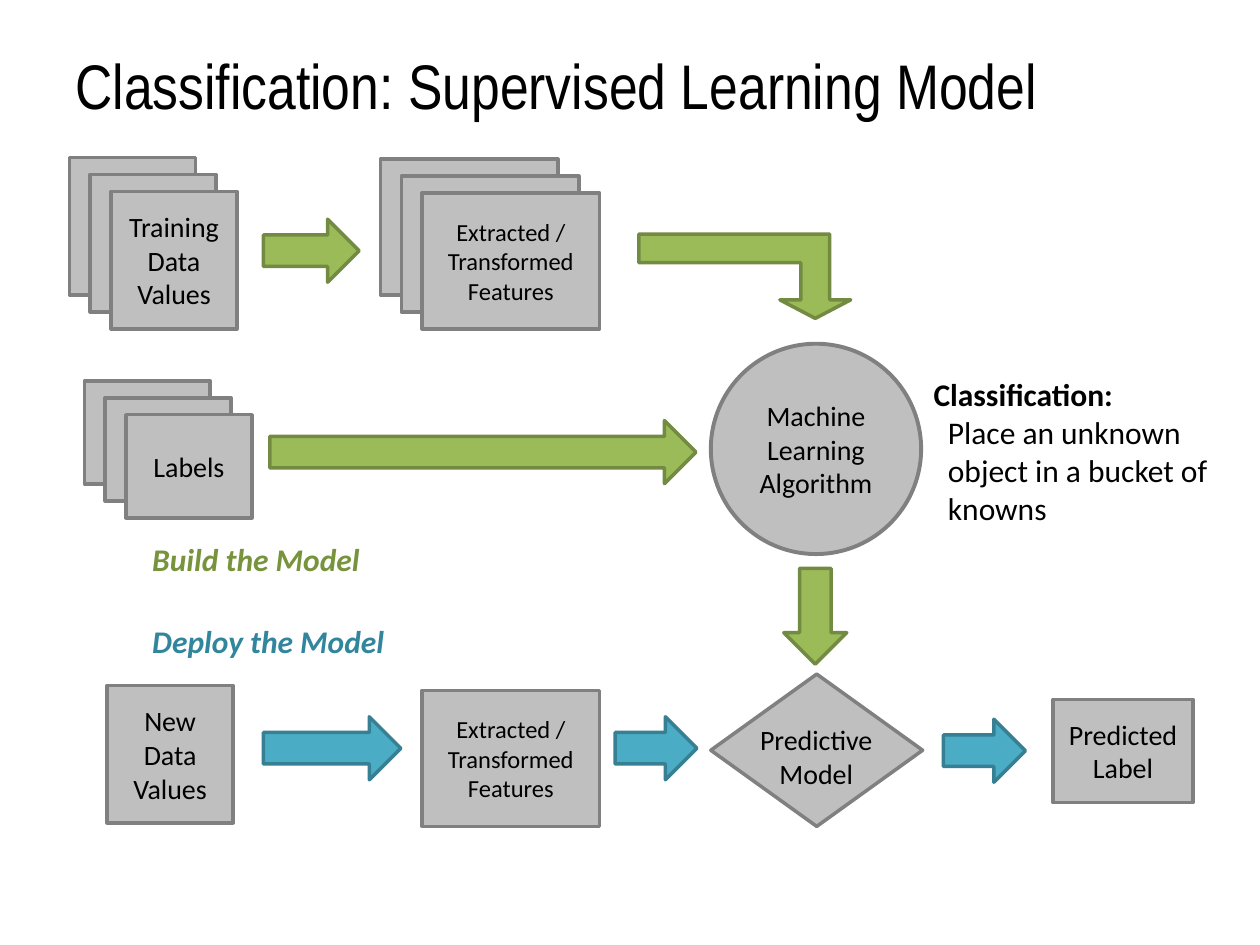
import pptx
import pptx.util
import pptx.dml.color
import pptx.enum.shapes
import pptx.enum.text
from pptx.util import Cm

MSO = pptx.enum.shapes.MSO_SHAPE
ALIGN = pptx.enum.text.PP_ALIGN
ANCHOR = pptx.enum.text.MSO_ANCHOR

THEME = {
    "title_font": "Arial Narrow", "font": "Calibri",
    "title": 36, "note": 18, "body": 16, "small": 14,
    "text": "000000", "build_text": "77933C", "deploy_text": "31859C",
    # fill and line of each kind of shape
    "box": ("BFBFBF", "808080"),
    "build": ("9BBB59", "738A42"),
    "deploy": ("4BACC6", "377F92"),
}

# Content: lengths in cm; \n starts a paragraph, \v breaks a line
TITLE = "Classification: Supervised Learning Model"
FEATURES = "Extracted /\nTransformed\nFeatures"
STEP_X, STEP_Y = 0.42, 0.34  # offset between sheets of a stack
ARROW_H = 1.27

# text, size, sheets in stack, left, top, width, height of the front sheet
BOXES = [
    ("Training\vData\vValues", "body", 3, 2.24, 3.86, 2.54, 2.77),
    (FEATURES, "small", 3, 8.51, 3.89, 3.58, 2.74),
    ("Labels", "body", 3, 2.54, 8.36, 2.54, 2.08),
    ("New\vData\vValues", "body", 1, 2.16, 13.82, 2.54, 2.77),
    (FEATURES, "small", 1, 8.51, 13.92, 3.58, 2.74),
    ("Predicted\vLabel", "body", 1, 21.23, 14.1, 2.82, 2.08),
]
# kind, left, top, length, rotation
ARROWS = [
    ("build", 5.31, 4.42, 1.93, 0),
    ("build", 5.44, 8.48, 8.59, 0),
    ("build", 15.47, 11.79, 1.93, 90),
    ("deploy", 5.31, 14.45, 2.77, 0),
    ("deploy", 12.4, 14.45, 1.65, 0),
    ("deploy", 19.02, 14.5, 1.65, 0),
]
# text, colour, top
PHASES = [
    ("Build the Model", "build_text", 10.77),
    ("Deploy the Model", "deploy_text", 12.42),
]

prs = pptx.Presentation()
prs.slide_width, prs.slide_height = Cm(25.4), Cm(19.05)
s = prs.slides.add_slide(prs.slide_layouts[6])


def rgb(value):
    return pptx.dml.color.RGBColor.from_string(value)


def add_text(sp, text, size="body", font="font", color="text", bold=False,
             italic=False, align=ALIGN.CENTER, indent=0):
    """Append paragraphs to a shape or text box."""
    tf = sp.text_frame
    tf.word_wrap = True
    for line in text.split("\n"):
        p = tf.add_paragraph() if tf.text else tf.paragraphs[0]
        p.text = line
        p.alignment = align
        if indent:
            p._p.get_or_add_pPr().set("marL", str(Cm(indent)))
        for r in p.runs:
            r.font.name = THEME[font]
            r.font.size = pptx.util.Pt(THEME[size])
            r.font.color.rgb = rgb(THEME[color])
            r.font.bold, r.font.italic = bold, italic


def add_box(*at):
    return s.shapes.add_textbox(*map(Cm, at))


def add_shape(preset, kind, *at, line_width=2):
    sp = s.shapes.add_shape(preset, *map(Cm, at))
    fill, line = THEME[kind]
    sp.shadow.inherit = False
    sp.fill.solid()
    sp.fill.fore_color.rgb = rgb(fill)
    sp.line.color.rgb = rgb(line)
    sp.line.width = pptx.util.Pt(line_width)
    sp.text_frame.vertical_anchor = ANCHOR.MIDDLE
    return sp


# Title
sp = add_box(1.27, 0.76, 22.86, 1.88)
sp.text_frame.vertical_anchor = ANCHOR.MIDDLE
add_text(sp, TITLE, size="title", font="title_font", align=ALIGN.LEFT)

# Data boxes and stacks, back sheet first
for text, size, sheets, x, y, w, h in BOXES:
    for back in reversed(range(sheets)):
        sp = add_shape(MSO.RECTANGLE, "box",
                       x - back * STEP_X, y - back * STEP_Y, w, h)
    add_text(sp, text, size=size)

# Algorithm
sp = add_shape(MSO.OVAL, "box", 14.33, 6.93, 4.24, 4.24, line_width=2.25)
add_text(sp, "Machine\nLearning\vAlgorithm")

# Predictive model: the label is wider than the diamond's own text area
add_shape(MSO.FLOWCHART_DECISION, "box", 14.33, 13.59, 4.27, 3.07)
add_text(add_box(14.45, 14.45, 4.01, 1.5), "Predictive\vModel")

# Straight arrows
for kind, x, y, length, rotation in ARROWS:
    sp = add_shape(MSO.RIGHT_ARROW, kind, x, y, length, ARROW_H)
    sp.rotation = rotation

# Bent arrow, flipped to point down
sp = add_shape(MSO.BENT_UP_ARROW, "build", 12.88, 4.72, 4.27, 1.7)
for i, value in enumerate((0.34, 0.42, 0.22)):
    sp.adjustments[i] = value
sp.element.spPr.xfrm.set("flipV", "1")

# Definition
sp = add_box(18.57, 7.44, 6.32, 3.33)
add_text(sp, "Classification:", size="note", bold=True, align=ALIGN.LEFT)
add_text(sp, "Place an unknown\nobject in a bucket of\nknowns",
         size="note", align=ALIGN.LEFT, indent=0.29)

# Phase captions
for text, color, y in PHASES:
    add_text(add_box(2.82, y, 6.91, 1.02), text, size="note", color=color,
             bold=True, italic=True, align=ALIGN.LEFT)

prs.save("out.pptx")
